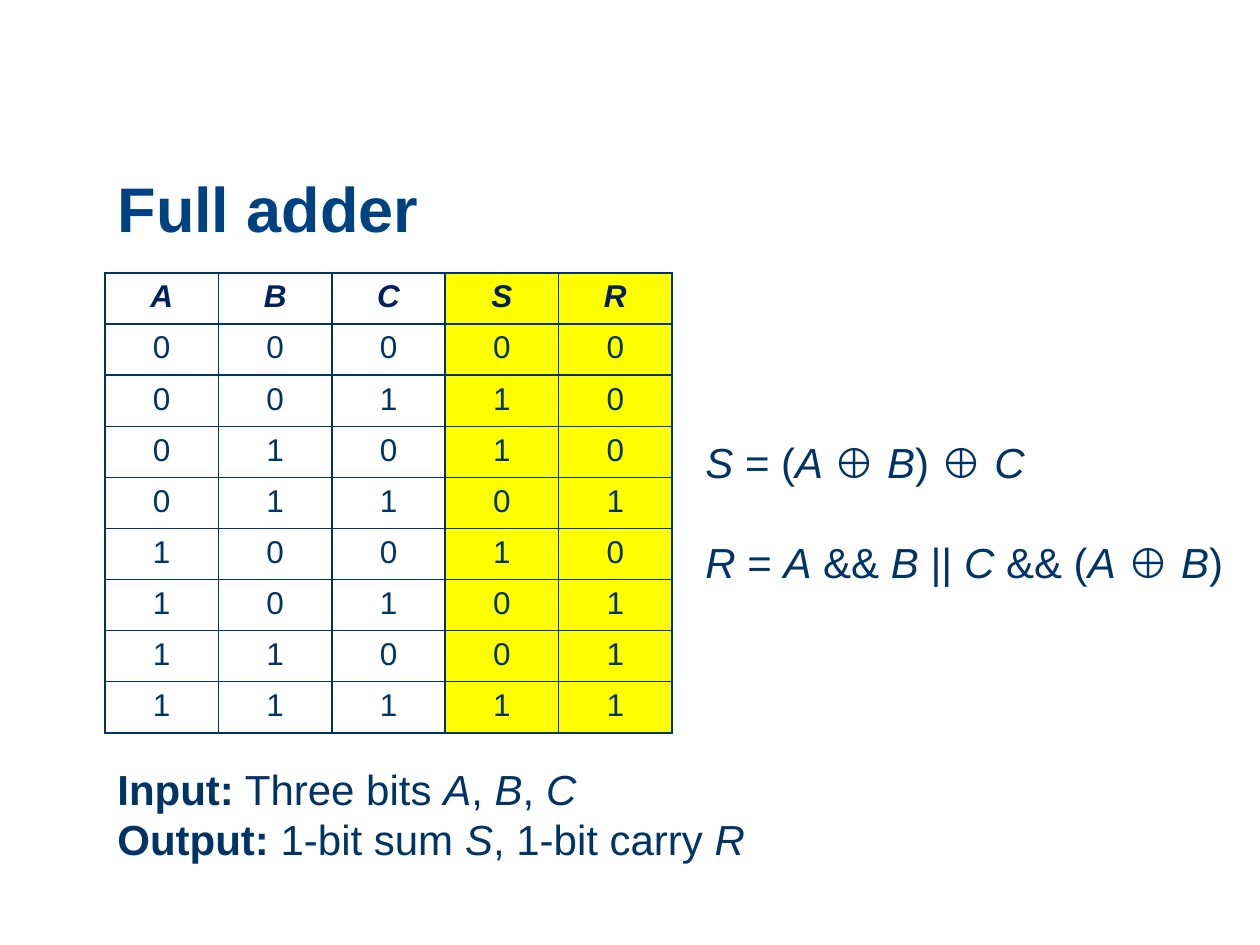
from lxml import etree
from pptx import Presentation
from pptx.dml.color import RGBColor
from pptx.enum.text import MSO_ANCHOR, MSO_AUTO_SIZE, PP_ALIGN
from pptx.oxml.ns import qn
from pptx.util import Pt

FONT = "Arial"
TITLE_BLUE = RGBColor(0x00, 0x41, 0x82)
HEADER_BLUE = RGBColor(0x00, 0x20, 0x60)
TEXT_BLUE = RGBColor(0x00, 0x33, 0x66)
YELLOW = RGBColor(0xFF, 0xFF, 0x00)
LEFT, CENTER = PP_ALIGN.LEFT, PP_ALIGN.CENTER
TITLE_ONLY = 5
INPUTS = 3  # leading table columns that hold inputs


def add_text(p, text, size=24, color=TEXT_BLUE, bold=False, italic=False, align=LEFT):
    """Add runs to a paragraph; text between underscores has its italics switched."""
    p.alignment = align
    for i, part in enumerate(text.split("_")):
        if not part:
            continue
        r = p.add_run()
        r.text = part
        r.font.name, r.font.size = FONT, Pt(size)
        r.font.bold, r.font.italic = bold, italic != (i % 2 == 1)
        r.font.color.rgb = color


def add_box(s, left, top, width, height):
    tf = s.shapes.add_textbox(Pt(left), Pt(top), Pt(width), Pt(height)).text_frame
    tf.word_wrap = True
    tf.auto_size = MSO_AUTO_SIZE.SHAPE_TO_FIT_TEXT
    return tf


def round_corners(sp, ratio):
    """Give a placeholder the rounded rectangle outline."""
    geom = etree.SubElement(sp.element.spPr, qn("a:prstGeom"), prst="roundRect")
    guides = etree.SubElement(geom, qn("a:avLst"))
    etree.SubElement(guides, qn("a:gd"), name="adj", fmla=f"val {round(ratio * 100000)}")


def place_title(s, left, top, width, height):
    sp = s.shapes.title
    sp.left, sp.top, sp.width, sp.height = Pt(left), Pt(top), Pt(width), Pt(height)
    round_corners(sp, 0.22)
    tf = sp.text_frame
    tf.auto_size = MSO_AUTO_SIZE.NONE
    tf.vertical_anchor = MSO_ANCHOR.BOTTOM
    p = tf.paragraphs[0]
    p.line_spacing = 0.9
    add_text(p, "Full adder", size=36, color=TITLE_BLUE, bold=True)


def set_borders(cell, color, width):
    tc_pr = cell._tc.get_or_add_tcPr()
    for i, side in enumerate(("a:lnL", "a:lnR", "a:lnT", "a:lnB")):
        ln = etree.Element(qn(side), w=str(Pt(width)))
        fill = etree.SubElement(ln, qn("a:solidFill"))
        etree.SubElement(fill, qn("a:srgbClr"), val=str(color))
        tc_pr.insert(i, ln)  # borders come before the fill


def truth_rows():
    """Header, then sum and carry for every combination of the input bits."""
    rows = ["ABCSR"]
    for n in range(2 ** INPUTS):
        bits = f"{n:03b}"
        total = bits.count("1")
        rows.append(f"{bits}{total % 2}{total // 2}")
    return rows


def place_truth_table(s, left, top, width, height):
    rows = truth_rows()
    n_rows, n_cols = len(rows), len(rows[0])
    table = s.shapes.add_table(n_rows, n_cols, Pt(left), Pt(top),
                               Pt(width), Pt(height)).table
    table.horz_banding = False
    for col in table.columns:
        col.width = Pt(width / n_cols)
    for y, values in enumerate(rows):
        table.rows[y].height = Pt(height / n_rows)
        header = y == 0
        for x, value in enumerate(values):
            cell = table.cell(y, x)
            if x < INPUTS:
                cell.fill.background()
            else:
                cell.fill.solid()
                cell.fill.fore_color.rgb = YELLOW
            set_borders(cell, TEXT_BLUE, 1)
            add_text(cell.text_frame.paragraphs[0], value, size=18, align=CENTER,
                     color=HEADER_BLUE if header else TEXT_BLUE,
                     bold=header, italic=header)


def place_description(s, left, top, width, height):
    tf = add_box(s, left, top, width, height)
    lines = [("Input:", " Three bits _A_, _B_, _C_"),
             ("Output:", " 1-bit sum _S_, 1-bit carry _R_")]
    for i, (label, text) in enumerate(lines):
        p = tf.add_paragraph() if i else tf.paragraphs[0]
        add_text(p, label, bold=True)
        add_text(p, text)


def place_formulas(s, left, top, width, height):
    tf = add_box(s, left, top, width, height)
    add_text(tf.paragraphs[0], "_S_ = (_A _⊕ _B_) ⊕ _C_")
    p = tf.add_paragraph()
    p.space_before = Pt(28.5)
    add_text(p, "_R_ = _A_ && _B_ || _C_ && (_A_ ⊕ _B_)")


def main():
    prs = Presentation()
    prs.slide_width, prs.slide_height = Pt(720), Pt(540)
    s = prs.slides.add_slide(prs.slide_layouts[TITLE_ONLY])
    place_title(s, 60, 78, 624, 66)
    place_truth_table(s, 60, 156, 324, 262.8)
    place_description(s, 60, 432.7, 426, 65.5)
    place_formulas(s, 396, 246, 318, 94.5)
    prs.save("out.pptx")


if __name__ == "__main__":
    main()
